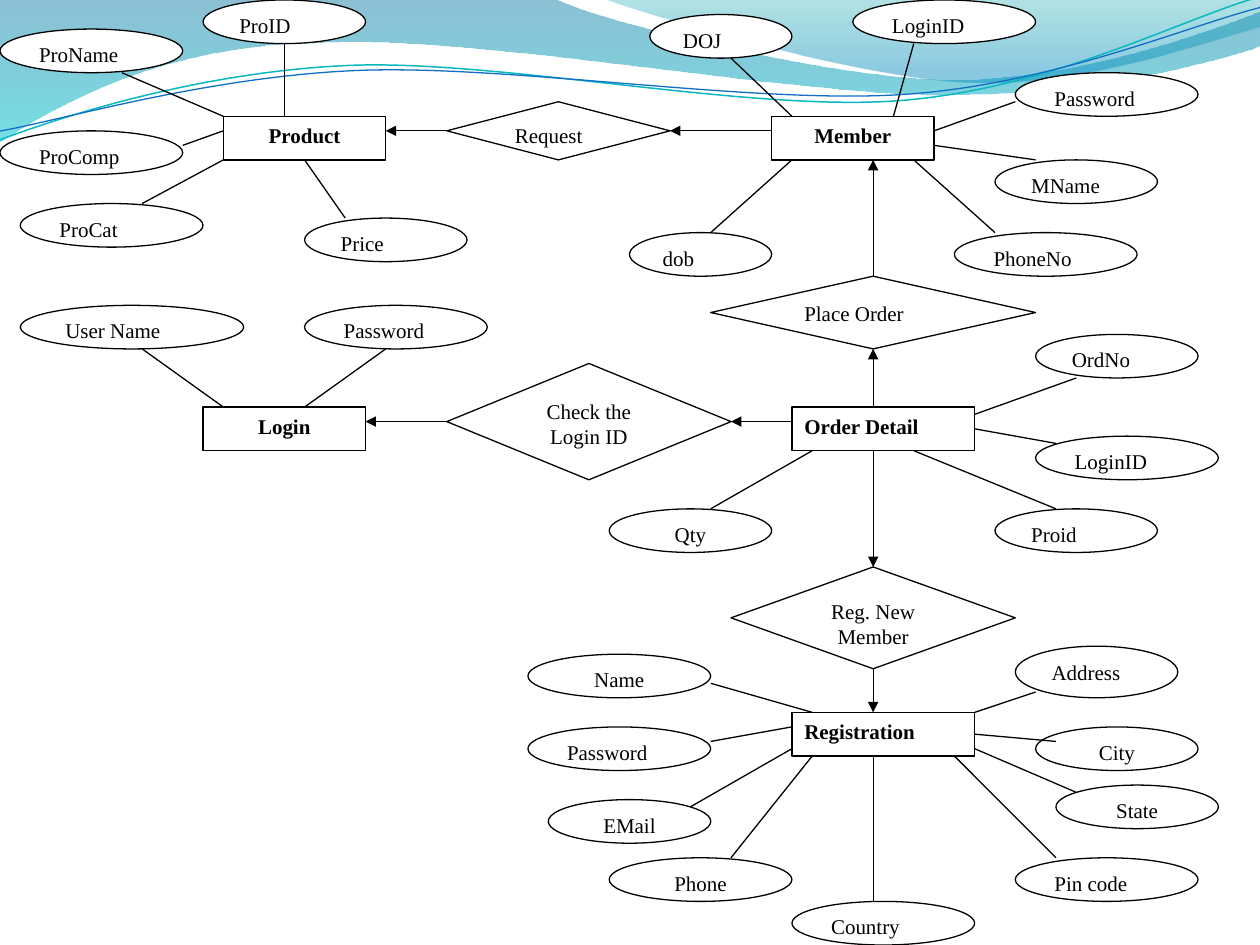
"""Entity relationship diagram of a shop with product, member, order and login."""
from dataclasses import dataclass

from lxml.etree import SubElement
from pptx import Presentation
from pptx.dml.color import RGBColor
from pptx.enum.shapes import MSO_CONNECTOR, MSO_SHAPE
from pptx.enum.text import MSO_ANCHOR, PP_ALIGN
from pptx.oxml.ns import qn
from pptx.util import Cm, Pt

WIDTH, HEIGHT = 25.4, 19.05
GRID_WIDTH, COLUMNS, ROWS = 25.38, 62, 65
LEFT, CENTER = PP_ALIGN.LEFT, PP_ALIGN.CENTER


@dataclass(frozen=True)
class Theme:
    """Colours, type and line sizes of the slide."""
    font: str = "Times New Roman"
    text_size: float = 12
    line_width: float = 0.75
    ink: str = "000000"
    paper: str = "FFFFFF"
    wide_wave: tuple = ((0, "0074A1", 45), (1, "00C6CF", 55))
    right_wave: tuple = ((0, "00A1A9", 30), (0.8, "008BBF", 45))
    upper_stroke: tuple = ("0AB8BF", 0.85)
    lower_stroke: tuple = ("0F6FC6", 0.75)


THEME = Theme()

WIDE_WAVE = [
    [(0, -1)], [(440, -1)],
    [(476, 17), (664, 63), (758, 63)],
    [(853, 63), (958, 26), (1000, 9)], [(1001, 36)],
    [(983, 44), (870, 76), (746, 75)],
    [(622, 75), (382, 28), (257, 34)],
    [(129, 35), (46, 83), (-1, 113)],
]
RIGHT_WAVE = [
    [(479, -1)],
    [(509, 11), (682, 62), (769, 65)],
    [(856, 69), (961, 32), (1000, 21)], [(1000, 0)],
]
UPPER_STROKE = [
    [(0, 111)],
    [(48, 93), (158, 57), (277, 52)],
    [(395, 47), (593, 89), (713, 80)],
    [(833, 71), (938, 15), (998, -2)],
]
LOWER_STROKE = [
    [(0, 104)],
    [(47, 96), (164, 61), (283, 56)],
    [(403, 51), (597, 83), (717, 75)],
    [(836, 67), (941, 21), (1000, 6)],
]

ENTITIES = [
    ("Product", (11, 8, 8, 3), CENTER),
    ("Member", (38, 8, 8, 3), CENTER),
    ("Login", (10, 28, 8, 3), CENTER),
    ("Order Detail", (39, 28, 9, 3), LEFT),
    ("Registration", (39, 49, 9, 3), LEFT),
]
ATTRIBUTES = [
    ("ProID", (10, 0, 8, 3), LEFT, (14, 8), (14, 3)),
    ("ProName", (0, 2, 9, 3), LEFT, (11, 8), (6, 5)),
    ("ProComp", (0, 9, 9, 3), LEFT, (11, 9), (9, 10)),
    ("ProCat", (1, 14, 9, 3), LEFT, (11, 11), (7, 14)),
    ("Price", (15, 15, 8, 3), LEFT, (15, 11), (17, 15)),
    ("DOJ", (32, 1, 7, 3), LEFT, (39, 8), (36, 4)),
    ("LoginID", (42, 0, 9, 3), LEFT, (44, 8), (45, 3)),
    ("Password", (50, 5, 9, 3), LEFT, (46, 9), (50, 7)),
    ("MName", (49, 11, 8, 3), LEFT, (46, 10), (51, 11)),
    ("PhoneNo", (47, 16, 9, 3), LEFT, (45, 11), (49, 16)),
    ("dob", (31, 16, 7, 3), LEFT, (39, 11), (35, 16)),
    ("User Name", (1, 21, 11, 3), LEFT, (11, 28), (7, 24)),
    ("Password", (15, 21, 9, 3), LEFT, (15, 28), (19, 24)),
    ("OrdNo", (51, 23, 8, 3), LEFT, (48, 28.5), (53, 26)),
    ("LoginID", (51, 30, 9, 3), LEFT, (48, 29.5), (52, 30.5)),
    ("Proid", (49, 35, 8, 3), LEFT, (45, 31), (52, 35)),
    ("Qty", (30, 35, 8, 3), CENTER, (40, 31), (35, 35)),
    ("Name", (26, 45, 9, 3), CENTER, (40, 49), (35, 47)),
    ("Password", (26, 50, 9, 3), LEFT, (39, 50), (35, 51)),
    ("EMail", (27, 55, 8, 3), CENTER, (39, 51.5), (34, 55.5)),
    ("Phone", (30, 59, 9, 3), CENTER, (40, 52), (36, 59)),
    ("Country", (39, 62, 9, 3), LEFT, (43, 52), (43, 62)),
    ("Pin code", (50, 59, 9, 3), LEFT, (47, 52), (52, 59)),
    ("State", (52, 54, 8, 3), CENTER, (48, 51.5), (53, 54.5)),
    ("City", (51, 50, 8, 3), CENTER, (48, 50.5), (52, 51)),
    ("Address", (50, 44.45, 8, 3.55), LEFT, (48, 49), (51, 47.6)),
]
RELATIONSHIPS = [
    ("Request", (22, 7, 11, 4), LEFT, (38, 9), 3, 1, (19, 9)),
    ("Place Order", (35, 19, 16, 5), LEFT, (43, 28), 2, 0, (43, 11)),
    ("Check the Login ID", (22, 25, 14, 8), CENTER, (39, 29), 3, 1, (18, 29)),
    ("Reg. New Member", (36, 39, 14, 7), CENTER, (43, 31), 0, 2, (43, 49)),
]


def grid(column, row):
    """Return the lengths of a grid position or size."""
    return Cm(column * GRID_WIDTH / COLUMNS), Cm(row * HEIGHT / ROWS)


def write_text(shape, text, *, bold=False, alignment=LEFT):
    """Write one formatted paragraph into a shape."""
    frame = shape.text_frame
    frame.word_wrap = True
    frame.vertical_anchor = MSO_ANCHOR.TOP
    paragraph = frame.paragraphs[0]
    paragraph.alignment = alignment
    run = paragraph.add_run()
    run.text = text
    run.font.name = THEME.font
    run.font.size = Pt(THEME.text_size)
    run.font.bold = bold
    run.font.color.rgb = RGBColor.from_string(THEME.ink)


def set_line(line, color=THEME.ink, width=THEME.line_width):
    """Set the colour and width of a line."""
    line.color.rgb = RGBColor.from_string(color)
    line.width = Pt(width)


def add_node(slide, kind, text, box, **text_format):
    """Add a labelled diagram shape in a grid box."""
    shape = slide.shapes.add_shape(kind, *grid(*box[:2]), *grid(*box[2:]))
    shape.shadow.inherit = False
    shape.fill.solid()
    shape.fill.fore_color.rgb = RGBColor.from_string(THEME.paper)
    set_line(shape.line)
    write_text(shape, text, **text_format)
    return shape


def add_link(slide, start, end, *, arrow=False):
    """Add a straight connector between two grid points."""
    connector = slide.shapes.add_connector(MSO_CONNECTOR.STRAIGHT, *grid(*start), *grid(*end))
    set_line(connector.line)
    if arrow:
        SubElement(connector.line._get_or_add_ln(), qn("a:tailEnd"), type="triangle")
    SubElement(connector._element.spPr, qn("a:effectLst"))
    return connector


def add_relationship(slide, text, box, alignment, source, entry, departure, target):
    """Add a diamond with one arrow coming in and one going out."""
    diamond = add_node(slide, MSO_SHAPE.DIAMOND, text, box, alignment=alignment)
    add_link(slide, source, target, arrow=True).end_connect(diamond, entry)
    add_link(slide, source, target, arrow=True).begin_connect(diamond, departure)


def add_curve(slide, segments, *, closed):
    """Add a freeform of straight and cubic Bézier segments."""
    first, *others = [point for segment in segments for point in segment]
    builder = slide.shapes.build_freeform(*first, scale=Cm(0.0254))
    builder.add_line_segments(others, close=closed)
    shape = builder.convert_to_shape()
    shape.shadow.inherit = False
    lines = iter(list(shape._element.spPr.iter(qn("a:lnTo"))))
    for segment in segments[1:]:
        steps = [next(lines) for _ in segment]
        if len(steps) == 3:
            steps[0].tag = qn("a:cubicBezTo")
            for step in steps[1:]:
                steps[0].append(step[0])
                step.getparent().remove(step)
    return shape


def add_wave(slide, segments, stops):
    """Add a closed wave with a translucent vertical gradient."""
    shape = add_curve(slide, segments, closed=True)
    shape.line.fill.background()
    shape.fill.gradient()
    shape.fill.gradient_angle = 270
    for stop, (position, color, _) in zip(shape.fill.gradient_stops, stops):
        stop.position = position
        stop.color.rgb = RGBColor.from_string(color)
    for element, (_, _, opacity) in zip(shape._element.spPr.iter(qn("a:srgbClr")), stops):
        SubElement(element, qn("a:alpha"), val=str(opacity * 1000))


def add_stroke(slide, segments, style):
    """Add an open curved line."""
    shape = add_curve(slide, segments, closed=False)
    shape.fill.background()
    set_line(shape.line, *style)


def main():
    """Build and save the presentation."""
    presentation = Presentation()
    presentation.slide_width, presentation.slide_height = Cm(WIDTH), Cm(HEIGHT)
    slide = presentation.slides.add_slide(presentation.slide_layouts[6])
    add_wave(slide, WIDE_WAVE, THEME.wide_wave)
    add_wave(slide, RIGHT_WAVE, THEME.right_wave)
    add_stroke(slide, UPPER_STROKE, THEME.upper_stroke)
    add_stroke(slide, LOWER_STROKE, THEME.lower_stroke)
    for text, box, alignment in ENTITIES:
        add_node(slide, MSO_SHAPE.RECTANGLE, text, box, bold=True, alignment=alignment)
    for text, box, alignment, start, end in ATTRIBUTES:
        add_node(slide, MSO_SHAPE.OVAL, text, box, alignment=alignment)
        add_link(slide, start, end)
    for relationship in RELATIONSHIPS:
        add_relationship(slide, *relationship)
    presentation.save("out.pptx")


if __name__ == "__main__":
    main()
